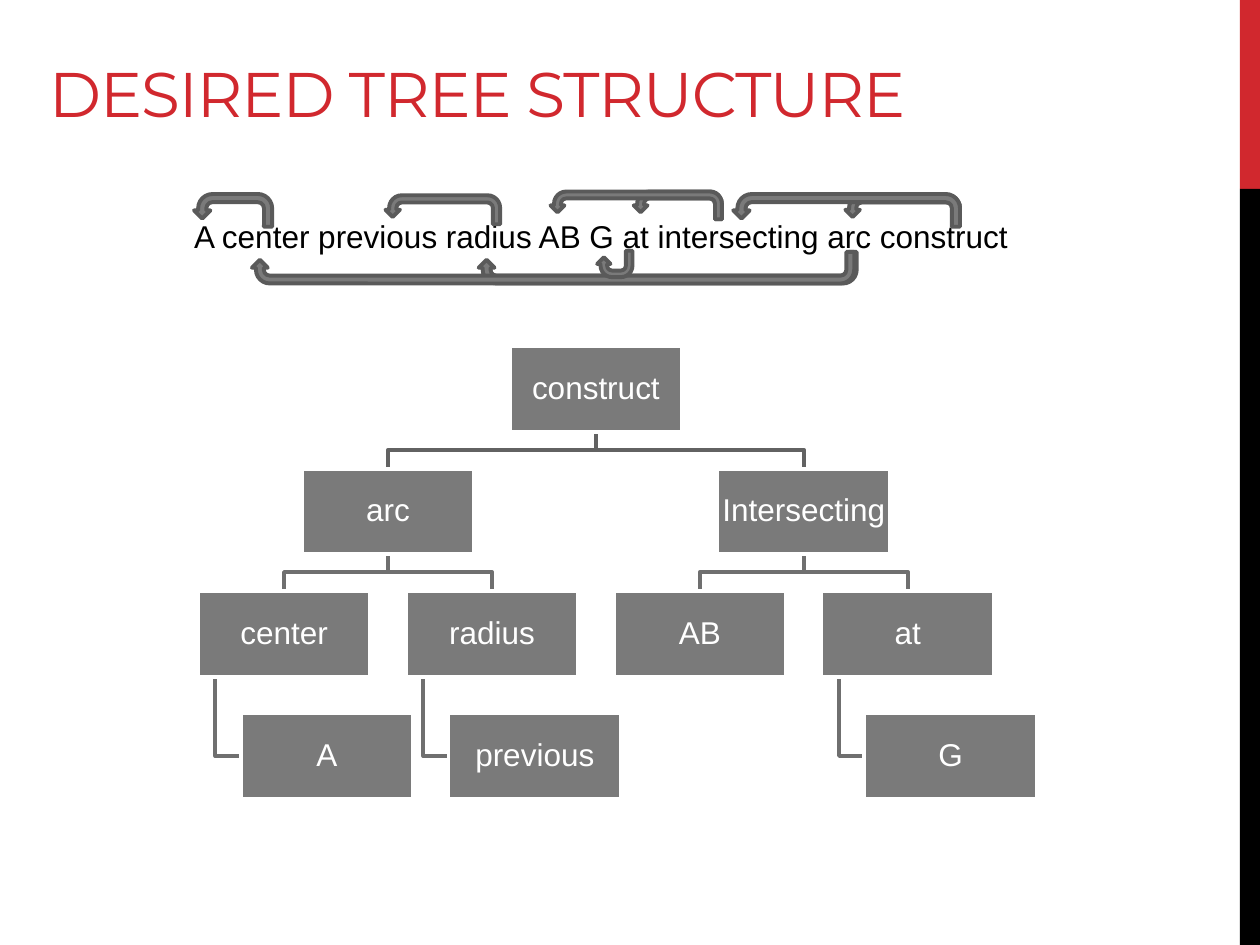
"""Build a slide showing a sentence's word links and its desired tree structure."""
import pptx
import pptx.dml.color
import pptx.enum.shapes
import pptx.enum.text
import pptx.util

Inches = pptx.util.Inches
Pt = pptx.util.Pt
RGBColor = pptx.dml.color.RGBColor
MSO_SHAPE = pptx.enum.shapes.MSO_SHAPE
MSO_ANCHOR = pptx.enum.text.MSO_ANCHOR
PP_ALIGN = pptx.enum.text.PP_ALIGN

RED = RGBColor(0xD1, 0x28, 0x2E)
BLACK = RGBColor(0x00, 0x00, 0x00)
WHITE = RGBColor(0xFF, 0xFF, 0xFF)
GRAY = RGBColor(0x7A, 0x7A, 0x7A)
ARROW_EDGE = RGBColor(0x5A, 0x5A, 0x5A)
UPPER_LINK = RGBColor(0x62, 0x62, 0x62)
LOWER_LINK = RGBColor(0x6F, 0x6F, 0x6F)

LINE_WIDTH = Pt(2.25)
BOX_WIDTH, BOX_HEIGHT = Inches(1.37), Inches(0.68)
TREE_LEFT, TREE_TOP = Inches(1.57), Inches(2.75)
COLUMN_STEP, LEVEL_STEP = Inches(1.65), Inches(0.97)
HANG_INDENT, HANG_STEM, TRUNK = Inches(0.34), Inches(0.14), Inches(0.14)

TREE = {
    "construct": (1.5, 0, None),
    "arc": (0.5, 1, "construct"),
    "center": (0, 2, "arc"),
    "A": (0, 3, "center"),
    "radius": (1, 2, "arc"),
    "previous": (1, 3, "radius"),
    "Intersecting": (2.5, 1, "construct"),
    "AB": (2, 2, "Intersecting"),
    "at": (3, 2, "Intersecting"),
    "G": (3, 3, "at"),
}

ARROWS_ABOVE = [
    (6.71, 1.55, 0.91, 0.23),
    (5.82, 1.54, 1.8, 0.26),
    (1.54, 1.54, 0.62, 0.26),
    (3.06, 1.55, 0.91, 0.23),
    (5.03, 1.52, 0.7, 0.22),
    (4.37, 1.52, 1.36, 0.22),
]
ARROWS_BELOW = [
    (3.8, 2, 3, 0.25),
    (2, 2, 4.78, 0.25),
    (4.74, 1.99, 0.28, 0.21),
]


def write_text(frame, text, size=18, font="Arial", color=BLACK, align=PP_ALIGN.LEFT,
               anchor=MSO_ANCHOR.TOP, inset=None, line_spacing=None, tracking=None):
    """Fill a text frame with one formatted paragraph."""
    frame.word_wrap = True
    frame.auto_size = pptx.enum.text.MSO_AUTO_SIZE.NONE
    frame.vertical_anchor = anchor
    if inset is not None:
        frame.margin_left = frame.margin_right = inset
        frame.margin_top = frame.margin_bottom = inset
    para = frame.paragraphs[0]
    para.alignment = align
    para.line_spacing = line_spacing
    span = para.add_run()
    span.text = text
    span.font.size = Pt(size)
    span.font.name = font
    span.font.color.rgb = color
    if tracking is not None:
        span.font._element.set("spc", str(round(tracking * 100)))


def add_block(page, kind, left, top, width, height, fill, line=None):
    """Add a preset shape with a solid fill and an optional outline."""
    block = page.shapes.add_shape(kind, left, top, width, height)
    block.shadow.inherit = False
    block.fill.solid()
    block.fill.fore_color.rgb = fill
    if line is None:
        block.line.fill.background()
    else:
        block.line.color.rgb = line
        block.line.width = LINE_WIDTH
    return block


def add_title(page, text):
    """Place and format the title."""
    title = page.shapes.title
    title.left, title.top = Inches(0.29), Inches(-0.42)
    title.width, title.height = Inches(8.38), Inches(1.5)
    write_text(title.text_frame, text, size=36, font="Montserrat", color=RED,
               anchor=MSO_ANCHOR.BOTTOM, tracking=-0.6)


def add_side_bars(page):
    """Add the red and black bars along the right edge."""
    for top, height, color in ((0, 1.5, RED), (1.5, 6, BLACK)):
        add_block(page, MSO_SHAPE.RECTANGLE, Inches(9.84), Inches(top),
                  Inches(0.16), Inches(height), color)


def add_sentence(page, text):
    """Add the analysed sentence."""
    box = page.shapes.add_textbox(Inches(1.17), Inches(1.67), Inches(6.93), Inches(0.4))
    write_text(box.text_frame, text, align=PP_ALIGN.RIGHT)


def add_word_arrow(page, place, below):
    """Add a U-turn arrow pointing to a word on the left."""
    arrow = add_block(page, MSO_SHAPE.U_TURN_ARROW, *map(Inches, place), GRAY, ARROW_EDGE)
    frame = arrow._element.spPr.get_or_add_xfrm()
    frame.set("flipH", "1")
    if below:
        frame.set("flipV", "1")


def node_corner(word):
    """Return the left and top of a word's box in the tree."""
    column, level, parent = TREE[word]
    left = TREE_LEFT + round(COLUMN_STEP * column)
    if level == 3:
        left += HANG_INDENT
    return left, TREE_TOP + LEVEL_STEP * level


def add_link(page, word):
    """Draw the angled line from a word's parent to the word."""
    level, parent = TREE[word][1:]
    left, top = node_corner(word)
    parent_left, parent_top = node_corner(parent)
    start_y = parent_top + BOX_HEIGHT
    if level == 3:
        start_x = parent_left + HANG_STEM
        middle = top + BOX_HEIGHT // 2
        points = [(start_x, middle), (left, middle)]
    else:
        start_x = parent_left + BOX_WIDTH // 2
        end_x = left + BOX_WIDTH // 2
        turn = start_y + TRUNK
        points = [(start_x, turn), (end_x, turn), (end_x, top)]
    builder = page.shapes.build_freeform(start_x, start_y)
    builder.add_line_segments(points, close=False)
    link = builder.convert_to_shape()
    link.shadow.inherit = False
    link.fill.background()
    link.line.color.rgb = UPPER_LINK if level == 1 else LOWER_LINK
    link.line.width = LINE_WIDTH


def add_node(page, word):
    """Add a word's box to the tree."""
    box = add_block(page, MSO_SHAPE.RECTANGLE, *node_corner(word),
                    BOX_WIDTH, BOX_HEIGHT, GRAY, WHITE)
    write_text(box.text_frame, word, color=WHITE, align=PP_ALIGN.CENTER,
               anchor=MSO_ANCHOR.MIDDLE, inset=Inches(0.01), line_spacing=0.9)


def main():
    """Build and save the deck."""
    deck = pptx.Presentation()
    deck.slide_width, deck.slide_height = Inches(10), Inches(7.5)
    page = deck.slides.add_slide(deck.slide_layouts[5])
    add_side_bars(page)
    add_title(page, "DESIRED TREE STRUCTURE")
    add_sentence(page, "A center previous radius AB G at intersecting arc construct")
    for places, below in ((ARROWS_ABOVE, False), (ARROWS_BELOW, True)):
        for place in places:
            add_word_arrow(page, place, below)
    for word, (column, level, parent) in TREE.items():
        if parent:
            add_link(page, word)
    for word in TREE:
        add_node(page, word)
    deck.save("out.pptx")


if __name__ == "__main__":
    main()
